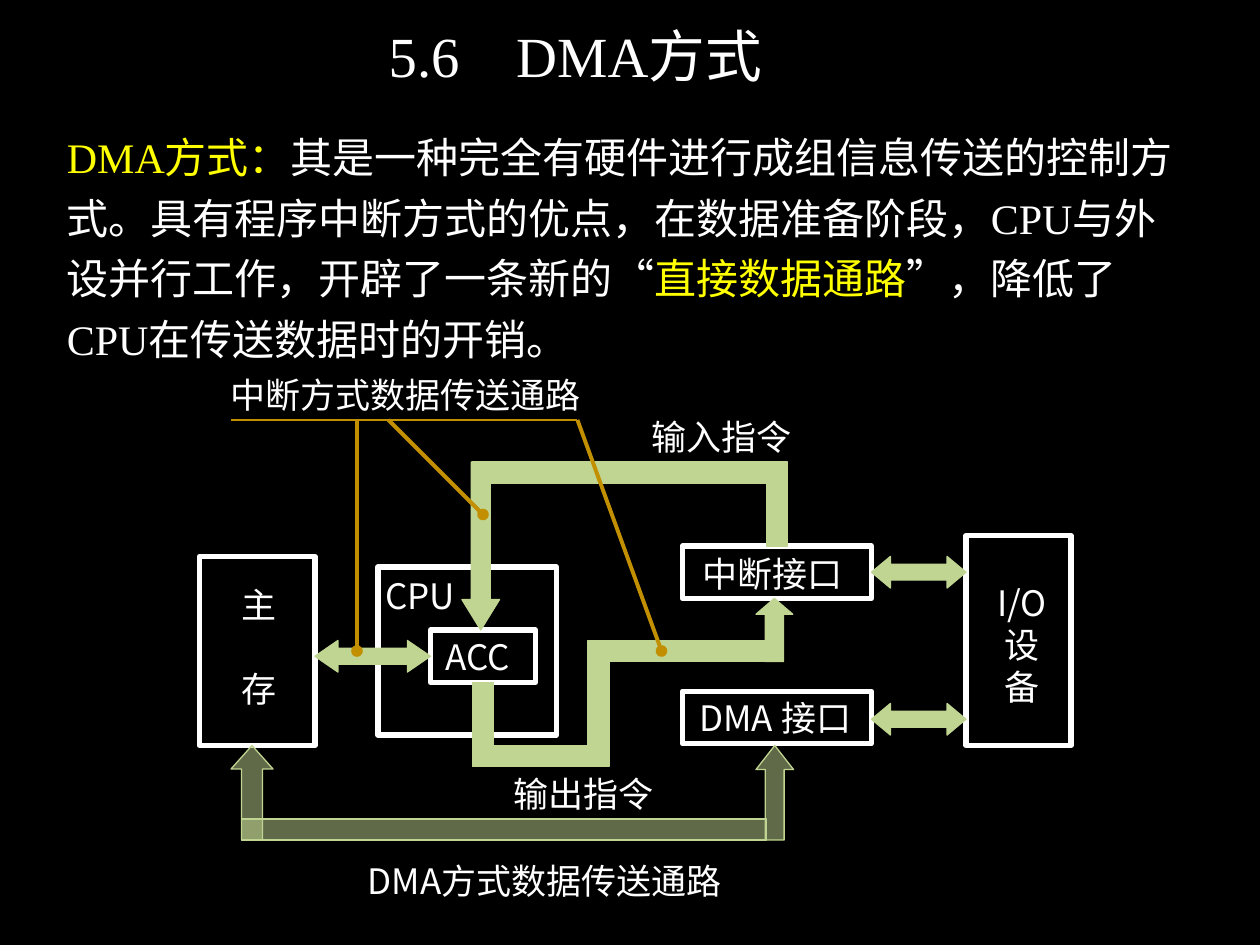
from typing import NamedTuple

from lxml import etree
from pptx import Presentation
from pptx.dml.color import RGBColor
from pptx.enum.shapes import MSO_CONNECTOR, MSO_SHAPE
from pptx.enum.text import MSO_ANCHOR, MSO_AUTO_SIZE, PP_ALIGN
from pptx.oxml.ns import qn
from pptx.util import Pt

RECT, UP, DOWN = MSO_SHAPE.RECTANGLE, MSO_SHAPE.UP_ARROW, MSO_SHAPE.DOWN_ARROW
LEFT_RIGHT = MSO_SHAPE.LEFT_RIGHT_ARROW
STRAIGHT = MSO_CONNECTOR.STRAIGHT
LEFT, CENTER = PP_ALIGN.LEFT, PP_ALIGN.CENTER
TOP, MIDDLE = MSO_ANCHOR.TOP, MSO_ANCHOR.MIDDLE
NO_AUTOFIT = MSO_AUTO_SIZE.NONE

BLACK = RGBColor(0x00, 0x00, 0x00)
WHITE = RGBColor(0xFF, 0xFF, 0xFF)
YELLOW = RGBColor(0xFF, 0xFF, 0x00)
GREEN = RGBColor(0xC0, 0xD5, 0x91)
OCHRE = RGBColor(0xC2, 0x8F, 0x00)
SERIF, SANS = "Times New Roman", "Noto Sans CJK SC"


class Box(NamedTuple):
    """Frame of a hardware unit."""
    x: float
    y: float
    w: float
    h: float


class Label(NamedTuple):
    """Text in the diagram, one paragraph per line."""
    x: float
    y: float
    w: float
    h: float
    lines: tuple[str, ...]
    align: PP_ALIGN = LEFT
    gap: float = 0


class Path(NamedTuple):
    """Bar or block arrow of a data path."""
    kind: MSO_SHAPE
    x: float
    y: float
    w: float
    h: float
    head: float = 0
    opacity: int = 100


class Pointer(NamedTuple):
    """Line from the caption to a data path."""
    x1: float
    y1: float
    x2: float
    y2: float
    width: float = 2.25
    dot: bool = True


BOXES = [
    Box(216, 324, 102, 96),
    Box(114, 318, 66, 108),
    Box(246, 360, 60, 30),
    Box(390, 312, 108, 30),
    Box(390, 395, 108, 30),
    Box(552, 306, 60, 120),
]
LABELS = [
    Label(213, 325, 90, 31, ("CPU",)),
    Label(131, 330, 35, 79, ("主", "存"), gap=24),
    Label(247.5, 359.5, 54, 31, ("ACC",)),
    Label(394.5, 312, 100, 31, ("中断接口",)),
    Label(392.5, 394.5, 108, 31, ("DMA 接口",)),
    Label(558, 329, 52, 80, ("I/O", "设", "备"), CENTER),
    Label(124.5, 210, 218, 31, ("中断方式数据传送通路",)),
    Label(365, 234, 96, 31, ("输入指令",)),
    Label(286.5, 438, 96, 31, ("输出指令",)),
    Label(203, 487.5, 226, 31, ("DMA方式数据传送通路",)),
]
PATHS = [
    Path(RECT, 270, 390, 12, 42),
    Path(RECT, 270, 426, 72, 12),
    Path(RECT, 336, 372, 12, 66),
    Path(RECT, 336, 366, 108, 12),
    Path(UP, 432, 342, 21, 36, 0.43),
    Path(RECT, 438, 270, 12, 42),
    Path(RECT, 270, 264, 180, 12),
    Path(DOWN, 264, 264, 21.5, 96, 0.81),
    Path(LEFT_RIGHT, 180, 366, 66, 18, 0.73),
    Path(LEFT_RIGHT, 498, 318, 54, 18, 0.6),
    Path(LEFT_RIGHT, 498, 402, 54, 18, 0.6),
    Path(UP, 132, 426, 24, 54, 0.56, 50),
    Path(RECT, 138, 468, 300, 12, 0, 50),
    Path(UP, 432, 426, 21.5, 54, 0.64, 50),
]
POINTERS = [
    Pointer(132, 240, 330, 240, 0.75, False),
    Pointer(204, 240, 204, 372),
    Pointer(222, 240, 276, 294),
    Pointer(330, 240, 378, 372),
]


def add_run(p, text: str, size: float, font: str, color: RGBColor) -> None:
    """Append a run with its Latin and East Asian fonts."""
    r = p.add_run()
    r.text = text
    r.font.size, r.font.name = Pt(size), font
    r.font.color.rgb = color
    r.font._element.find(qn("a:latin")).addnext(
        etree.Element(qn("a:ea"), typeface=SANS))


def place(sp, x: float, y: float, w: float, h: float, anchor: MSO_ANCHOR):
    """Move a placeholder and return its first paragraph."""
    sp.left, sp.top, sp.width, sp.height = Pt(x), Pt(y), Pt(w), Pt(h)
    tf = sp.text_frame
    tf.word_wrap, tf.auto_size, tf.vertical_anchor = True, NO_AUTOFIT, anchor
    return tf.paragraphs[0]


def add_box(shapes, box: Box) -> None:
    """Draw an unfilled white frame."""
    sp = shapes.add_shape(RECT, *map(Pt, box))
    sp.shadow.inherit = False
    sp.fill.background()
    sp.line.color.rgb, sp.line.width = WHITE, Pt(3)


def add_label(shapes, label: Label) -> None:
    """Write the lines of a label."""
    tf = shapes.add_textbox(*map(Pt, label[:4])).text_frame
    tf.word_wrap = True
    for i, text in enumerate(label.lines):
        p = tf.add_paragraph() if i else tf.paragraphs[0]
        p.alignment = label.align
        if i and label.gap:
            p.space_before = Pt(label.gap)
        add_run(p, text, 20, SANS, WHITE)


def add_path(shapes, path: Path) -> None:
    """Draw one green piece of a data path."""
    sp = shapes.add_shape(path.kind, Pt(path.x), Pt(path.y), Pt(path.w), Pt(path.h))
    sp.shadow.inherit = False
    if path.head:
        sp.adjustments[0], sp.adjustments[1] = 0.5, path.head
    sp.fill.solid()
    sp.fill.fore_color.rgb = GREEN
    sp.line.color.rgb, sp.line.width = GREEN, Pt(0.75)
    if path.opacity < 100:
        color = sp._element.spPr.find(qn("a:solidFill"))[0]
        etree.SubElement(color, qn("a:alpha"), val=str(path.opacity * 1000))


def add_pointer(shapes, pointer: Pointer) -> None:
    """Draw an ochre line, with a dot at its end if asked."""
    line = shapes.add_connector(STRAIGHT, *map(Pt, pointer[:4]))
    line.line.color.rgb, line.line.width = OCHRE, Pt(pointer.width)
    if pointer.dot:
        etree.SubElement(line.line._get_or_add_ln(), qn("a:tailEnd"), type="oval")
    etree.SubElement(line._element.spPr, qn("a:effectLst"))


def main() -> None:
    """Build the slide and save it."""
    prs = Presentation()
    prs.slide_width, prs.slide_height = Pt(720), Pt(540)
    s = prs.slides.add_slide(prs.slide_layouts[1])
    s.background.fill.solid()
    s.background.fill.fore_color.rgb = BLACK

    p = place(s.shapes.title, 31, 15, 595.5, 39.5, MIDDLE)
    p.alignment, p.line_spacing = CENTER, 0.8
    add_run(p, "5.6\u2003DMA方式", 32.4, SERIF, WHITE)

    p = place(s.placeholders[1], 31, 66, 652.5, 164, TOP)
    p.line_spacing, p.space_before = 1.2, Pt(10)
    pPr = p._p.get_or_add_pPr()
    pPr.set("marL", "0")
    pPr.set("indent", "0")
    etree.SubElement(pPr, qn("a:buNone"))
    for text, color in (
        ("DMA方式：", YELLOW),
        ("其是一种完全有硬件进行成组信息传送的控制方式。具有程序中断方式的优点，"
         "在数据准备阶段，CPU与外设并行工作，开辟了一条新的“", WHITE),
        ("直接数据通路", YELLOW),
        ("”，降低了CPU在传送数据时的开销。", WHITE),
    ):
        add_run(p, text, 24, SERIF, color)

    shapes = s.shapes.add_group_shape().shapes
    for draw, items in ((add_box, BOXES), (add_path, PATHS),
                        (add_label, LABELS), (add_pointer, POINTERS)):
        for item in items:
            draw(shapes, item)
    prs.save("out.pptx")


main()
